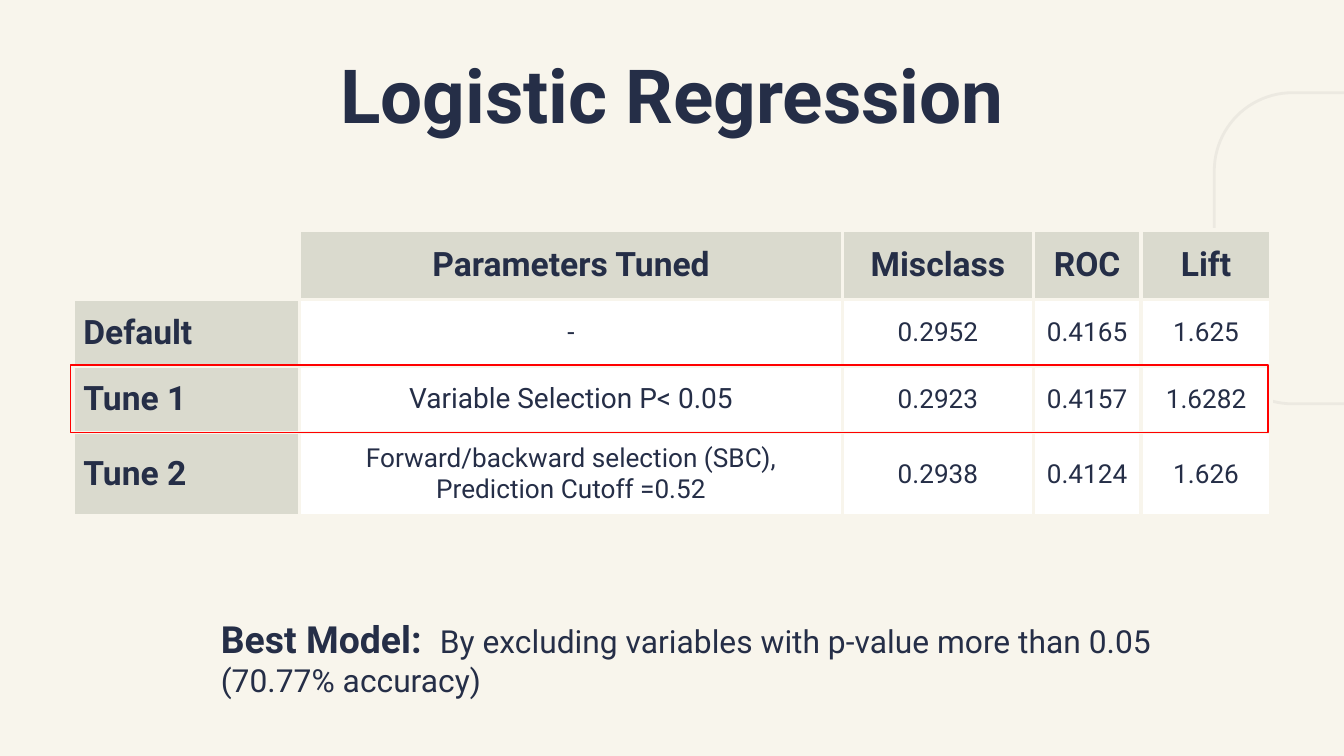
from dataclasses import dataclass
from lxml import etree
from pptx import Presentation
from pptx.dml.color import RGBColor
from pptx.enum.shapes import MSO_SHAPE
from pptx.enum.text import MSO_ANCHOR, PP_ALIGN
from pptx.oxml.ns import qn
from pptx.util import Emu, Pt

LEFT, MID = PP_ALIGN.LEFT, PP_ALIGN.CENTER
CENTRE = MSO_ANCHOR.MIDDLE
RECT, ROUND = MSO_SHAPE.RECTANGLE, MSO_SHAPE.ROUNDED_RECTANGLE


@dataclass(frozen=True)
class Theme:
    font: str = "Roboto"
    paper: str = "F8F5EC"
    ink: str = "252E47"
    head: str = "DADACE"
    cell: str = "FFFFFF"
    faint: str = "ECE9E1"
    mark: str = "FF0000"
    title: int = 40
    label: int = 18
    body: int = 14
    large: int = 15
    lead: int = 20
    note: int = 17


THEME = Theme()
SCALE = 4572
SIZE = (2000, 1125)
TITLE = "Logistic Regression"
LEAD = "Best Model:"
NOTE = "By excluding variables with p-value more than 0.05 (70.77% accuracy)"
TABLE = [
    ("", "Parameters Tuned", "Misclass", "ROC", "Lift"),
    ("Default", "-", "0.2952", "0.4165", "1.625"),
    ("Tune 1", "Variable Selection P< 0.05", "0.2923", "0.4157", "1.6282"),
    ("Tune 2", "Forward/backward selection (SBC), Prediction Cutoff =0.52",
     "0.2938", "0.4124", "1.626"),
]
COLS = (337, 808, 284, 160, 194)
ROWS = (104, 99, 99, 117)
LARGE = (2, 1)
BOX = {
    "frame": (1807, 138, 388, 463),
    "title": (459, 76, 1082, 126),
    "table": (109, 342, sum(COLS), sum(ROWS)),
    "note": (309, 927, 1582, 168),
    "mark": (105, 543, 1782, 101),
}


def px(n):
    return Emu(n * SCALE)


def area(name):
    return [px(n) for n in BOX[name]]


def rgb(code):
    return RGBColor.from_string(code)


def write(para, text, size=THEME.body, bold=False, align=LEFT):
    para.alignment = align
    run = para.add_run()
    run.text = text
    font = run.font
    font.name, font.size, font.bold = THEME.font, Pt(size), bold
    font.color.rgb = rgb(THEME.ink)


def add_box(slide, name, foot=20):
    frame = slide.shapes.add_textbox(*area(name)).text_frame
    frame.word_wrap = True
    frame.vertical_anchor = CENTRE
    frame.margin_left = frame.margin_right = frame.margin_top = px(20)
    frame.margin_bottom = px(foot)
    return frame.paragraphs[0]


def outline(slide, kind, name, color, width):
    shape = slide.shapes.add_shape(kind, *area(name))
    shape.shadow.inherit = False
    shape.fill.background()
    shape.line.color.rgb = rgb(color)
    shape.line.width = Pt(width)
    return shape


def edge(cell):
    props = cell._tc.get_or_add_tcPr()
    for side in ("lnL", "lnR", "lnT", "lnB"):
        line = etree.SubElement(props, qn(f"a:{side}"), w=str(Pt(2.25)))
        fill = etree.SubElement(line, qn("a:solidFill"))
        etree.SubElement(fill, qn("a:srgbClr"), val=THEME.paper)


def fill_cell(cell, text, row, col):
    edge(cell)
    cell.vertical_anchor = CENTRE
    cell.margin_left = cell.margin_right = px(15)
    cell.margin_top = cell.margin_bottom = px(15)
    if not text:
        cell.fill.background()
        return
    head = row == 0 or col == 0
    cell.fill.solid()
    cell.fill.fore_color.rgb = rgb(THEME.head if head else THEME.cell)
    size = THEME.large if (row, col) == LARGE else THEME.body
    write(cell.text_frame.paragraphs[0], text,
          size=THEME.label if head else size,
          bold=head, align=MID if col else LEFT)


def add_grid(slide):
    grid = slide.shapes.add_table(len(ROWS), len(COLS), *area("table")).table
    grid.first_row = grid.horz_banding = False
    for col, width in zip(grid.columns, COLS):
        col.width = px(width)
    for row, height in zip(grid.rows, ROWS):
        row.height = px(height)
    for r, line in enumerate(TABLE):
        for c, text in enumerate(line):
            fill_cell(grid.cell(r, c), text, r, c)


def add_note(slide):
    para = add_box(slide, "note", foot=84)
    tabs = etree.SubElement(para._p.get_or_add_pPr(), qn("a:tabLst"))
    etree.SubElement(tabs, qn("a:tab"), pos=str(px(326)), algn="l")
    write(para, LEAD + "\t", size=THEME.lead, bold=True)
    write(para, NOTE, size=THEME.note)


def main():
    deck = Presentation()
    deck.slide_width, deck.slide_height = map(px, SIZE)
    slide = deck.slides.add_slide(deck.slide_layouts[6])
    back = slide.background.fill
    back.solid()
    back.fore_color.rgb = rgb(THEME.paper)
    frame = outline(slide, ROUND, "frame", THEME.faint, 1.5)
    frame.adjustments[0] = 0.3
    write(add_box(slide, "title"), TITLE, size=THEME.title, bold=True, align=MID)
    add_grid(slide)
    add_note(slide)
    outline(slide, RECT, "mark", THEME.mark, 0.75)
    deck.save("out.pptx")


if __name__ == "__main__":
    main()
